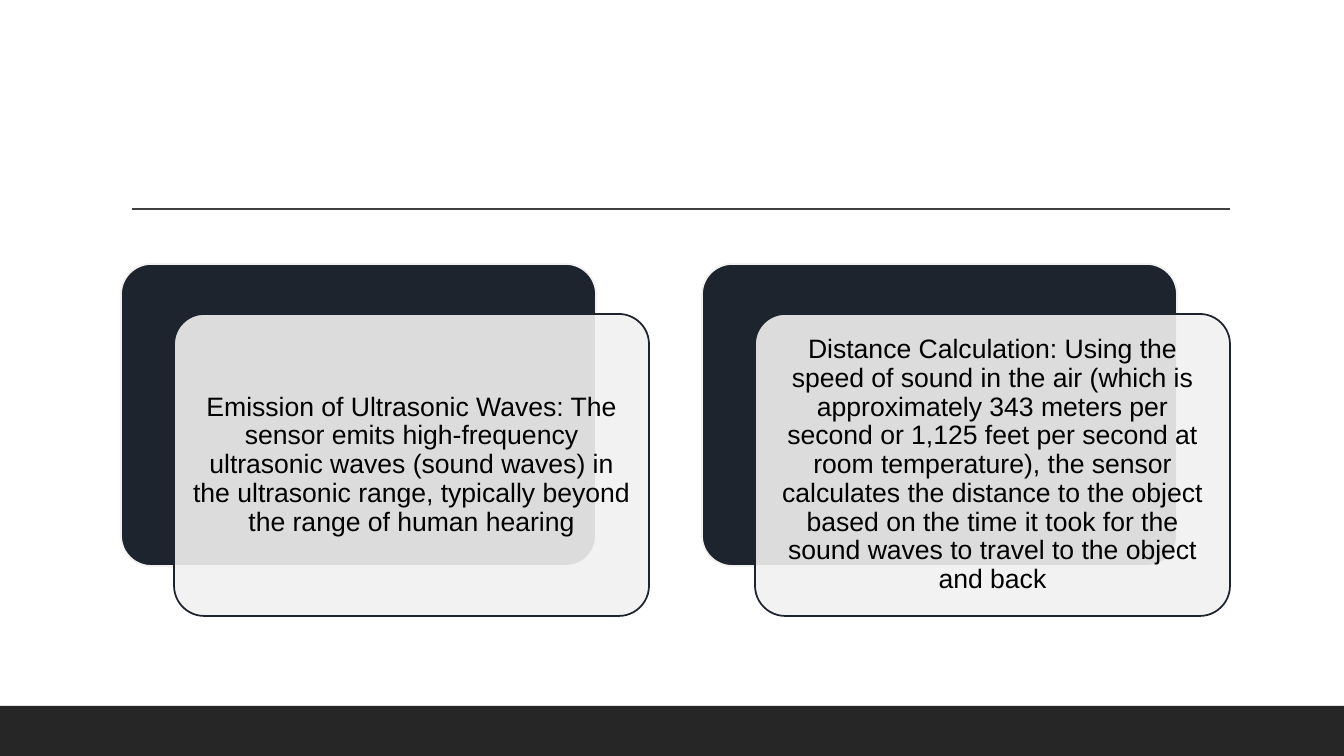
"""Build a slide with two layered cards on how an ultrasonic sensor works."""
import pptx
import pptx.dml.color
import pptx.enum.shapes
import pptx.enum.text
import pptx.oxml
import pptx.oxml.ns
import pptx.util

STEPS = [
    "Emission of Ultrasonic Waves: The sensor emits high-frequency ultrasonic waves "
    "(sound waves) in the ultrasonic range, typically beyond the range of human hearing",
    "Distance Calculation: Using the speed of sound in the air (which is approximately "
    "343 meters per second or 1,125 feet per second at room temperature), the sensor "
    "calculates the distance to the object based on the time it took for the sound waves "
    "to travel to the object and back",
]
FONT, TEXT_SIZE = "Arial", 19
WHITE, BLACK, RULE, BAND = "FFFFFF", "000000", "404040", "262626"
NAVY, PALE = "1D242E", "F2F1F1"

SLIDE_W, SLIDE_H = 1344, 756
BAND_TOP = 706
RULE_LEFT, RULE_RIGHT, RULE_Y = 132, 1230, 209
CARD_LEFT, CARD_TOP, CARD_W, CARD_H = 121, 264, 475, 302
CARD_PITCH = 581
FRONT_DX, FRONT_DY = 53, 50
TEXT_INSET = 8
SHAPES = pptx.enum.shapes.MSO_SHAPE


def px(length):
    return pptx.util.Emu(round(length * 914400 / 100.8))


def rgb(color):
    return pptx.dml.color.RGBColor.from_string(color)


def add_block(slide, kind, box, fill, outline=None):
    block = slide.shapes.add_shape(kind, *map(px, box))
    block.shadow.inherit = False
    block.fill.solid()
    block.fill.fore_color.rgb = rgb(fill)
    if outline:
        block.line.color.rgb = rgb(outline)
        block.line.width = pptx.util.Pt(1.25)
    else:
        block.line.fill.background()
    return block


def add_card(slide, left, top, fill, outline):
    box = (left, top, CARD_W, CARD_H)
    card = add_block(slide, SHAPES.ROUNDED_RECTANGLE, box, fill, outline)
    card.adjustments[0] = 0.1
    return card


def make_translucent(card, percent):
    color = card.fill._xPr.find(".//" + pptx.oxml.ns.qn("a:srgbClr"))
    alpha = pptx.oxml.parse_xml(
        f'<a:alpha {pptx.oxml.ns.nsdecls("a")} val="{percent * 1000}"/>')
    color.append(alpha)


def write_step(card, step):
    frame = card.text_frame
    frame.word_wrap = True
    frame.vertical_anchor = pptx.enum.text.MSO_ANCHOR.MIDDLE
    frame.margin_left = frame.margin_right = px(TEXT_INSET)
    frame.margin_top = frame.margin_bottom = px(TEXT_INSET)
    frame.text = step
    paragraph = frame.paragraphs[0]
    paragraph.alignment = pptx.enum.text.PP_ALIGN.CENTER
    paragraph.line_spacing = 0.9
    font = paragraph.runs[0].font
    font.name = FONT
    font.size = pptx.util.Pt(TEXT_SIZE)
    font.color.rgb = rgb(BLACK)


def add_rule(slide):
    rule = slide.shapes.add_connector(
        pptx.enum.shapes.MSO_CONNECTOR.STRAIGHT,
        px(RULE_LEFT), px(RULE_Y), px(RULE_RIGHT), px(RULE_Y))
    rule.line.color.rgb = rgb(RULE)
    rule.line.width = pptx.util.Pt(1)
    rule._element.spPr.append(pptx.oxml.parse_xml(
        f'<a:effectLst {pptx.oxml.ns.nsdecls("a")}/>'))


def main():
    deck = pptx.Presentation()
    deck.slide_width, deck.slide_height = px(SLIDE_W), px(SLIDE_H)
    slide = deck.slides.add_slide(deck.slide_layouts[6])
    add_block(slide, SHAPES.RECTANGLE, (0, 0, SLIDE_W, SLIDE_H), WHITE)
    add_rule(slide)
    add_block(slide, SHAPES.RECTANGLE,
              (0, BAND_TOP, SLIDE_W, SLIDE_H - BAND_TOP), BAND)
    for index, step in enumerate(STEPS):
        left = CARD_LEFT + index * CARD_PITCH
        add_card(slide, left, CARD_TOP, NAVY, PALE)
        front = add_card(slide, left + FRONT_DX, CARD_TOP + FRONT_DY, PALE, NAVY)
        make_translucent(front, 90)
        write_step(front, step)
    deck.save("out.pptx")


if __name__ == "__main__":
    main()
